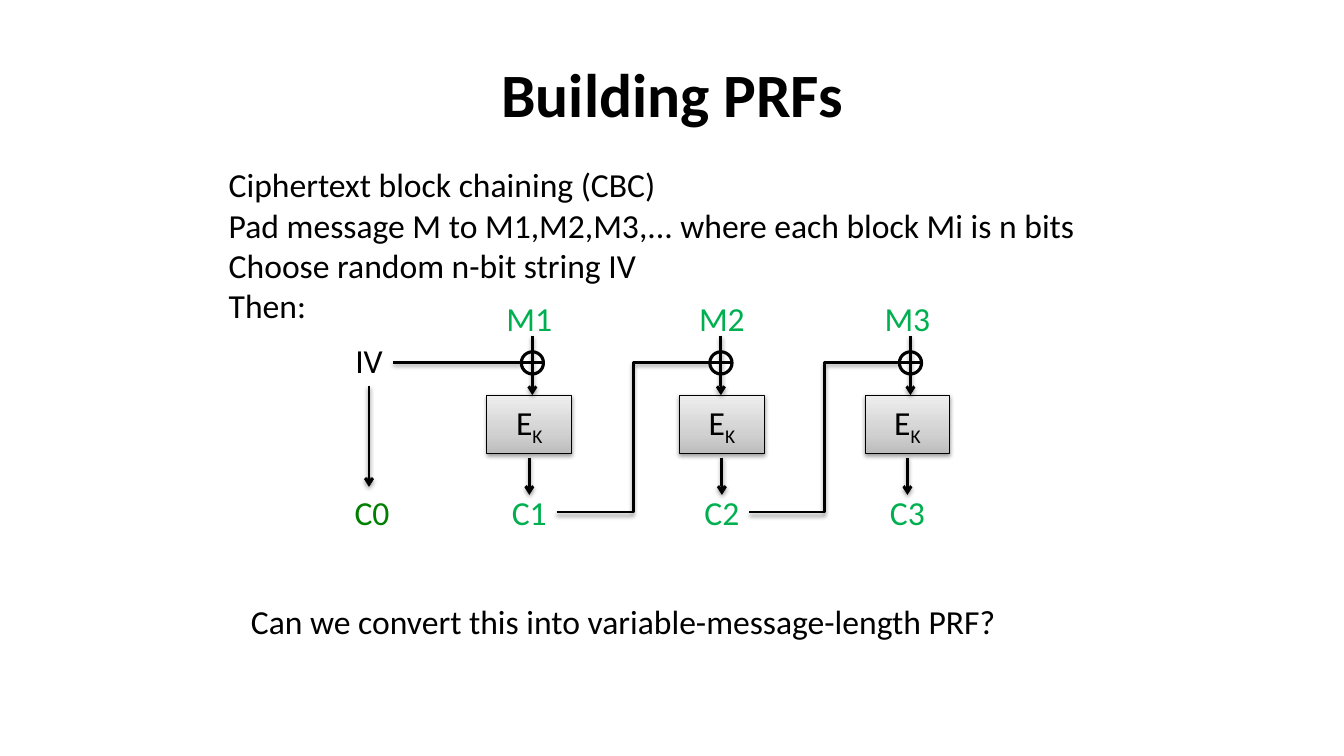
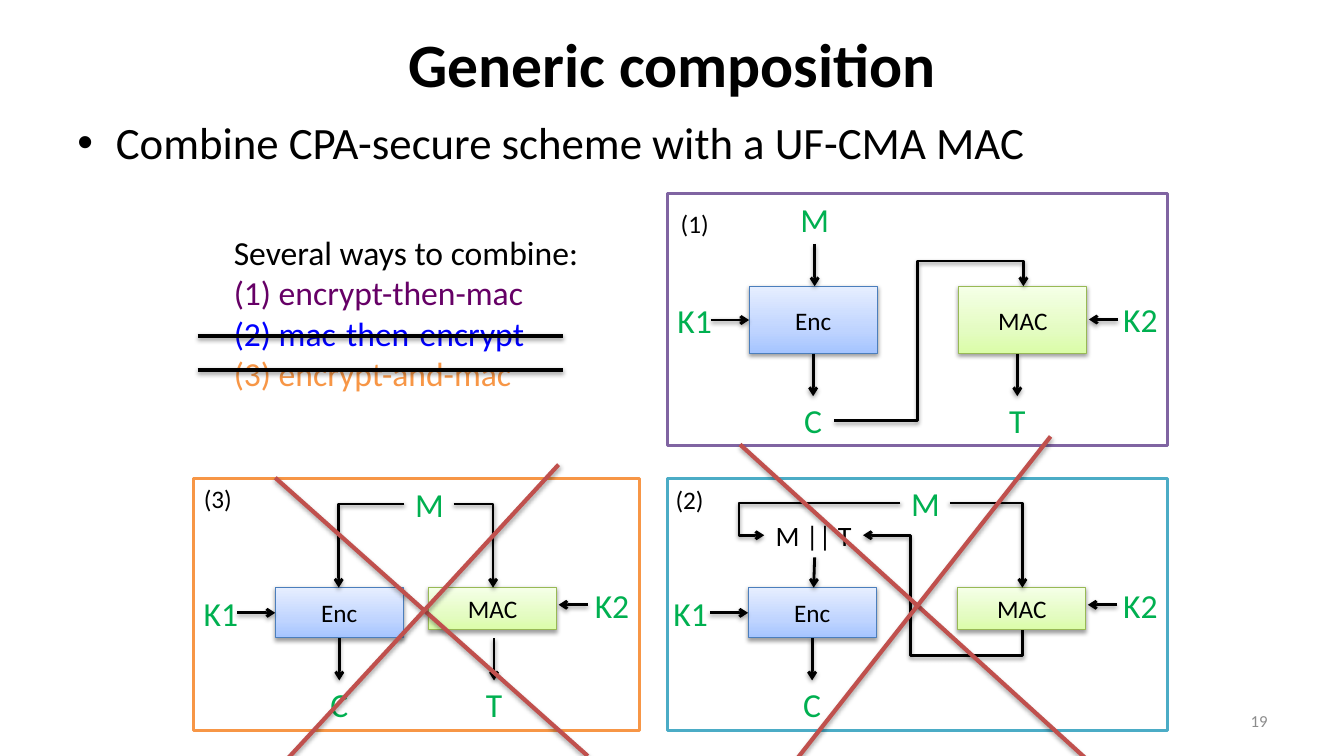
from dataclasses import dataclass
from typing import Optional

from lxml import etree
from pptx import Presentation
from pptx.dml.color import RGBColor
from pptx.enum.shapes import MSO_CONNECTOR, MSO_SHAPE
from pptx.enum.text import MSO_ANCHOR, MSO_AUTO_SIZE, PP_ALIGN
from pptx.oxml.ns import qn
from pptx.util import Inches, Pt

RECTANGLE, OVAL = MSO_SHAPE.RECTANGLE, MSO_SHAPE.OVAL
STRAIGHT, ELBOW = MSO_CONNECTOR.STRAIGHT, MSO_CONNECTOR.ELBOW
LEFT, CENTER, RIGHT = PP_ALIGN.LEFT, PP_ALIGN.CENTER, PP_ALIGN.RIGHT
TOP, MIDDLE = MSO_ANCHOR.TOP, MSO_ANCHOR.MIDDLE
FIT_TEXT = MSO_AUTO_SIZE.SHAPE_TO_FIT_TEXT

FONT = "Calibri"
COLORS = {
    "black": "000000", "white": "FFFFFF", "grey": "8C8C8C",
    "green": "00B050", "dark_green": "008000", "red": "C0504D",
    "plum": "660066", "blue": "0000FF", "orange": "F79646",
    "purple": "8064A2", "teal": "4BACC6",
    "enc_edge": "4B7EBC", "mac_edge": "98B955",
}
GRADIENTS = {
    "grey": ("BDBDBD", "D1D1D1", "EEEEEE"),
    "blue": ("A4C4FF", "BFD4FF", "E6EEFF"),
    "green": ("DAFDA7", "E4FCC2", "F5FFE7"),
}
GRADIENT_STOPS = (0, 35, 100)
Point = tuple[float, float]


@dataclass(frozen=True)
class Box:
    left: float
    top: float
    width: float
    height: float

    @property
    def right(self) -> float:
        return self.left + self.width

    @property
    def bottom(self) -> float:
        return self.top + self.height

    @property
    def center_x(self) -> float:
        return self.left + self.width / 2

    @property
    def center_y(self) -> float:
        return self.top + self.height / 2

    def lengths(self):
        return [Inches(n) for n in (self.left, self.top, self.width, self.height)]


@dataclass(frozen=True)
class Span:
    text: str
    size: int = 24
    color: str = "black"
    bold: bool = False
    subscript: bool = False


@dataclass(frozen=True)
class Stage:
    """One block of the CBC chain."""
    number: int
    center_x: float
    xor_x: float


@dataclass(frozen=True)
class Panel:
    number: int
    frame: Box
    edge: str
    number_at: Point
    message_at: Point
    enc: Box
    mac: Box
    key1_x: float
    key2_y: float
    tag_x: Optional[float] = None


def rgb(name: str) -> RGBColor:
    return RGBColor.from_string(COLORS[name])


def fill_paragraph(para, spans: list[Span], align) -> None:
    para.alignment = align
    for span in spans:
        run = para.add_run()
        run.text = span.text
        run.font.name = FONT
        run.font.size = Pt(span.size)
        run.font.bold = span.bold
        run.font.color.rgb = rgb(span.color)
        if span.subscript:
            run.font._element.set("baseline", "-25000")


def add_text(page, box: Box, lines: list[Span], align=LEFT, anchor=TOP, wrap=True):
    frame = page.shapes.add_textbox(*box.lengths()).text_frame
    frame.word_wrap = wrap
    frame.vertical_anchor = anchor
    if not wrap:
        frame.auto_size = FIT_TEXT
    for index, span in enumerate(lines):
        para = frame.add_paragraph() if index else frame.paragraphs[0]
        fill_paragraph(para, [span], align)
    return frame


def add_label(page, text: str, center: Point, color="green", size=24) -> None:
    """Centre one line of text on a point, in a box wider than the line."""
    width, height = 0.4 + len(text) * size * 0.01, size / 60 + 0.1
    box = Box(center[0] - width / 2, center[1] - height / 2, width, height)
    add_text(page, box, [Span(text, size, color)], CENTER, wrap=False)


def add_title(page, text: str, top: float) -> None:
    add_text(page, Box(0.67, top, 12, 1.25), [Span(text, 44, bold=True)], CENTER, MIDDLE)


def add_bullet(page, text: str, box: Box) -> None:
    para = add_text(page, box, [Span(text, 32)]).paragraphs[0]
    properties = para._p.get_or_add_pPr()
    properties.set("marL", str(Inches(0.38)))
    properties.set("indent", str(-Inches(0.38)))
    etree.SubElement(properties, qn("a:buFont"), typeface="Arial")
    etree.SubElement(properties, qn("a:buChar"), char="•")


def cast_shadow(effects, distance=20000, alpha=38000) -> None:
    shadow = etree.SubElement(effects, qn("a:outerShdw"), blurRad="40000",
                              dist=str(distance), dir="5400000", rotWithShape="0")
    color = etree.SubElement(shadow, qn("a:srgbClr"), val=COLORS["black"])
    etree.SubElement(color, qn("a:alpha"), val=str(alpha))


def add_outline(page, kind, box: Box, edge: str, width: float):
    shape = page.shapes.add_shape(kind, *box.lengths())
    shape.shadow.inherit = False
    shape.fill.background()
    shape.line.color.rgb = rgb(edge)
    shape.line.width = Pt(width)
    return shape


def add_node(page, box: Box, spans: list[Span], gradient: str, edge: str) -> None:
    shape = add_outline(page, RECTANGLE, box, edge, 0.75)
    shape.fill.gradient()
    shape.fill.gradient_angle = 90
    properties = shape._element.spPr
    stops = properties.find(qn("a:gradFill")).find(qn("a:gsLst"))
    stops.clear()
    for position, color in zip(GRADIENT_STOPS, GRADIENTS[gradient]):
        stop = etree.SubElement(stops, qn("a:gs"), pos=str(position * 1000))
        etree.SubElement(stop, qn("a:srgbClr"), val=color)
    cast_shadow(properties.find(qn("a:effectLst")))
    shape.text_frame.vertical_anchor = MIDDLE
    fill_paragraph(shape.text_frame.paragraphs[0], spans, CENTER)


def add_line(page, start: Point, end: Point, color="black", width=2.0,
             arrow: Optional[str] = None, shadow=True, kind=STRAIGHT):
    """Draw a connector; arrow is "tailEnd" (at end) or "headEnd" (at start)."""
    line = page.shapes.add_connector(kind, *[Inches(n) for n in (*start, *end)])
    line.line.color.rgb = rgb(color)
    line.line.width = Pt(width)
    properties = line._element.spPr
    if arrow:
        etree.SubElement(properties.find(qn("a:ln")), qn(f"a:{arrow}"), type="arrow")
    effects = etree.SubElement(properties, qn("a:effectLst"))
    if shadow and width > 2:
        cast_shadow(effects, 23000, 35000)
    elif shadow:
        cast_shadow(effects)
    return line


def add_arrow(page, start: Point, end: Point) -> None:
    add_line(page, start, end, arrow="tailEnd")


def add_elbow(page, start: Point, end: Point, bend_x: Optional[float] = None,
              bend_y: Optional[float] = None, arrow: Optional[str] = "tailEnd") -> None:
    """Leave start sideways, turning at bend_x and then bend_y where given."""
    line = add_line(page, start, end, arrow=arrow, kind=ELBOW)
    ratios = [(bend - first) / (last - first)
              for bend, first, last in zip((bend_x, bend_y), start, end)
              if bend is not None]
    geometry = line._element.spPr.find(qn("a:prstGeom"))
    geometry.set("prst", f"bentConnector{2 + len(ratios)}")
    guides = geometry.find(qn("a:avLst"))
    for index, ratio in enumerate(ratios, 1):
        etree.SubElement(guides, qn("a:gd"), name=f"adj{index}",
                         fmla=f"val {round(ratio * 100000)}")


XOR_Y, XOR_RADIUS, CIPHER_Y = 3.6, 0.11, 5.08
STAGES = [Stage(1, 5.25, 5.28), Stage(2, 7.16, 7.15), Stage(3, 9, 9.03)]


def draw_stage(page, stage: Stage) -> None:
    x, left, right = stage.center_x, stage.xor_x - XOR_RADIUS, stage.xor_x + XOR_RADIUS
    add_node(page, Box(x - 0.42, 3.92, 0.84, 0.58),
             [Span("E"), Span("K", subscript=True)], "grey", "black")
    add_label(page, f"M{stage.number}", (x, 3.16))
    add_label(page, f"C{stage.number}", (x, CIPHER_Y))
    add_arrow(page, (stage.xor_x, 3.33), (stage.xor_x, 3.92))
    add_arrow(page, (x, 4.54), (x, 4.91))
    add_outline(page, OVAL, Box(left, XOR_Y - XOR_RADIUS, 2 * XOR_RADIUS, 2 * XOR_RADIUS),
                "black", 2.25)
    add_line(page, (left, XOR_Y), (right, XOR_Y), width=2.25, shadow=False)


def build_prf_page(page) -> None:
    add_title(page, "Building PRFs", 0.3)
    add_text(page, Box(2.17, 1.58, 8.69, 1.72), [
        Span("Ciphertext block chaining (CBC)"),
        Span("Pad message M to M1,M2,M3,... where each block Mi is n bits"),
        Span("Choose random n-bit string IV"),
        Span("Then:"),
    ], wrap=False)
    for stage in STAGES:
        draw_stage(page, stage)
    for stage, following in zip(STAGES, STAGES[1:]):
        start_x, end_x = stage.center_x + 0.27, following.xor_x - XOR_RADIUS
        add_elbow(page, (start_x, CIPHER_Y), (end_x, XOR_Y),
                  bend_x=(start_x + end_x) / 2, arrow=None)
    add_label(page, "IV", (3.66, 3.57), "black")
    add_line(page, (3.9, XOR_Y), (STAGES[0].xor_x - XOR_RADIUS, XOR_Y))
    add_arrow(page, (3.66, 3.83), (3.66, 4.83))
    add_label(page, "C0", (3.69, CIPHER_Y), "dark_green")
    add_text(page, Box(2.39, 5.91, 7.69, 0.5),
             [Span("Can we convert this into variable-message-length PRF?")], wrap=False)


PANELS = [
    Panel(1, Box(6.62, 1.92, 4.96, 2.5), "purple", (6.89, 2.22), (8.08, 2.17),
          Box(7.43, 2.84, 1.27, 0.67), Box(9.51, 2.84, 1.27, 0.67), 6.89, 3.17, 10.09),
    Panel(2, Box(6.62, 4.75, 4.96, 2.5), "teal", (6.84, 4.96), (9.18, 4.99),
          Box(7.42, 5.83, 1.27, 0.5), Box(9.5, 5.83, 1.27, 0.42), 6.85, 6),
    Panel(3, Box(1.92, 4.75, 4.42, 2.5), "orange", (2.16, 4.95), (4.26, 5),
          Box(2.73, 5.83, 1.27, 0.5), Box(4.25, 5.83, 1.27, 0.42), 2.19, 6, 4.9),
]
CROSSES = [
    ((2.73, 4.74), (5.83, 7.5)), ((5.54, 4.61), (2.73, 7.66)),
    ((7.34, 4.41), (10.83, 7.58)), ((10.42, 4.33), (7.73, 7.75)),
]


def draw_panel(page, panel: Panel) -> None:
    frame, enc, mac = panel.frame, panel.enc, panel.mac
    outline = add_outline(page, RECTANGLE, frame, panel.edge, 2)
    outline.fill.solid()
    outline.fill.fore_color.rgb = rgb("white")
    add_node(page, enc, [Span("Enc", 18)], "blue", "enc_edge")
    add_node(page, mac, [Span("MAC", 18)], "green", "mac_edge")
    add_label(page, f"({panel.number})", panel.number_at, "black", 18)
    add_label(page, "M", panel.message_at)
    add_label(page, "K1", (panel.key1_x, enc.center_y))
    add_label(page, "K2", (frame.right - 0.27, panel.key2_y))
    add_arrow(page, (enc.left - 0.38, enc.center_y), (enc.left, enc.center_y))
    add_arrow(page, (mac.right + 0.31, panel.key2_y), (mac.right + 0.02, panel.key2_y))
    outputs = [("C", enc.center_x)]
    if panel.tag_x is not None:
        outputs.append(("T", panel.tag_x))
    for name, x in outputs:
        add_arrow(page, (x, enc.bottom), (x, enc.bottom + 0.42))
        add_label(page, name, (x, enc.bottom + 0.66))


def build_composition_page(page) -> None:
    add_title(page, "Generic composition", 0)
    add_text(page, Box(9.56, 6.95, 3.11, 0.4), [Span("19", 12, "grey")], RIGHT, MIDDLE)
    add_bullet(page, "Combine CPA-secure scheme with a UF-CMA MAC", Box(0.67, 1.09, 12, 0.7))
    for panel in PANELS:
        draw_panel(page, panel)
    add_arrow(page, (8.08, 2.42), (8.08, 2.84))
    add_elbow(page, (8.27, 4.17), (10.15, 2.84), bend_x=9.1, bend_y=2.59)
    add_label(page, "M || T", (8.07, 5.31), "black", 20)
    add_arrow(page, (8.08, 5.53), (8.07, 5.83))
    add_elbow(page, (9.42, 4.99), (10.14, 5.83))
    add_elbow(page, (8.93, 4.99), (7.58, 5.31), bend_x=7.33)
    add_elbow(page, (8.56, 5.31), (10.14, 6.25), bend_x=9.03, bend_y=6.5, arrow="headEnd")
    add_elbow(page, (4.5, 5), (4.89, 5.83))
    add_elbow(page, (4.01, 5), (3.36, 5.83))
    add_text(page, Box(2.22, 2.25, 3.68, 1.72), [
        Span("Several ways to combine:"),
        Span("(1) encrypt-then-mac", color="plum"),
        Span("(2) mac-then-encrypt", color="blue"),
        Span("(3) encrypt-and-mac", color="orange"),
    ], wrap=False)
    for start, end in CROSSES:
        add_line(page, start, end, "red", 3)
    for y in (3.33, 3.67):
        add_line(page, (1.96, y), (5.58, y), width=3)


def main() -> None:
    deck = Presentation()
    deck.slide_width, deck.slide_height = Inches(13.33), Inches(7.5)
    for build in (build_prf_page, build_composition_page):
        build(deck.slides.add_slide(deck.slide_layouts[6]))
    deck.save("out.pptx")


if __name__ == "__main__":
    main()
